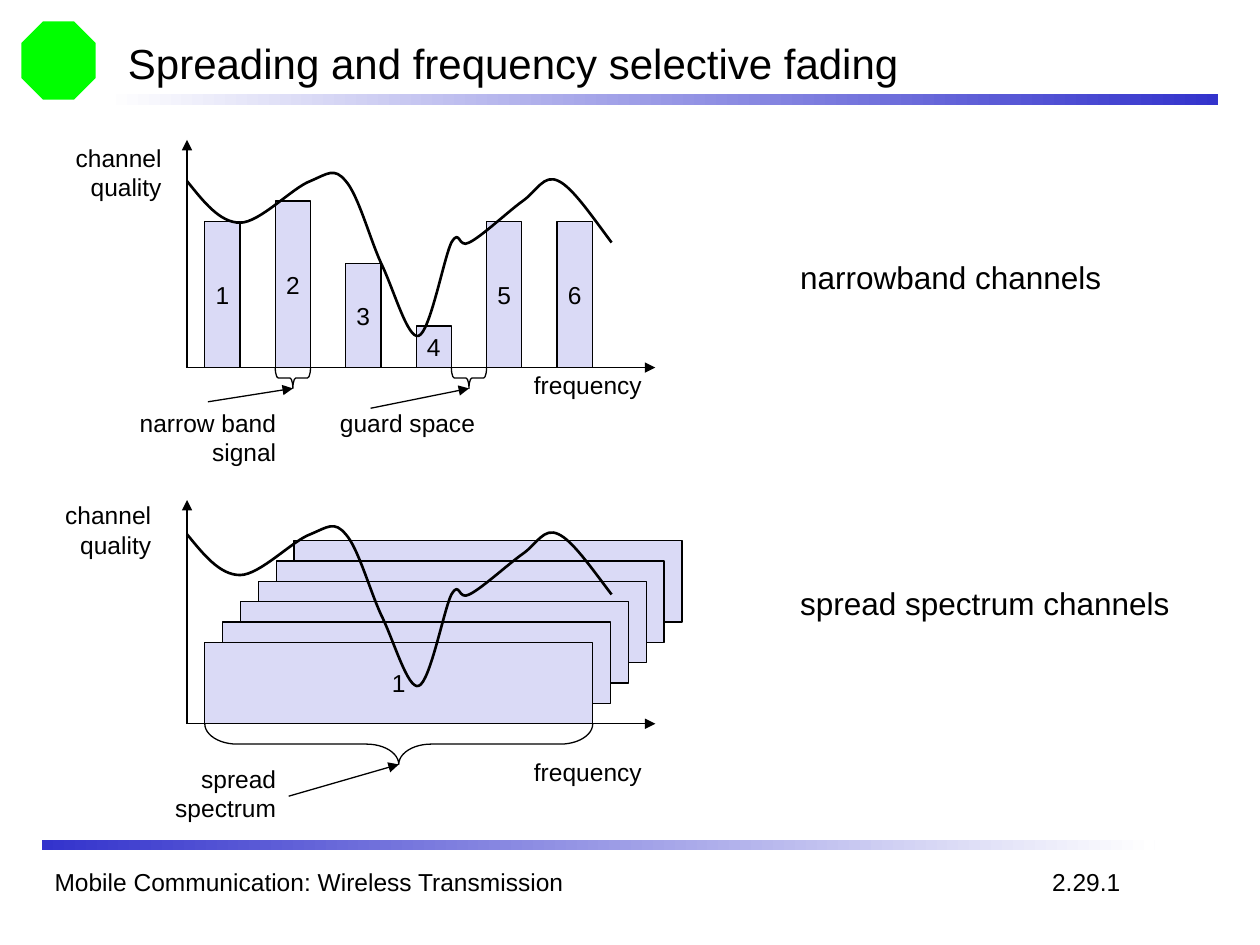
from lxml import etree
from pptx import Presentation
from pptx.dml.color import RGBColor
from pptx.enum.shapes import MSO_CONNECTOR, MSO_SHAPE
from pptx.enum.text import MSO_ANCHOR, PP_ALIGN
from pptx.oxml.ns import qn
from pptx.util import Cm, Pt

RECTANGLE, OCTAGON, BRACE = MSO_SHAPE.RECTANGLE, MSO_SHAPE.OCTAGON, MSO_SHAPE.LEFT_BRACE
STRAIGHT = MSO_CONNECTOR.STRAIGHT
LEFT, CENTER, RIGHT = PP_ALIGN.LEFT, PP_ALIGN.CENTER, PP_ALIGN.RIGHT
TOP, MIDDLE = MSO_ANCHOR.TOP, MSO_ANCHOR.MIDDLE

FONT = "Arial"
BLACK, WHITE, BLUE, LAVENDER, GREEN = "000000", "FFFFFF", "3333CC", "DADAF6", "00FF00"
AXIS_X, AXIS_END = 3.77, 13.21
BAND_LEFT, BAND_WIDTH = 4.13, 0.71
QUALITY_UNIT = 0.42
BAND_QUALITIES = [7, 8, 5, 2, 7, 7]
SPREAD_WIDTH, SPREAD_HEIGHT = 7.82, 1.64
SPREAD_SHIFT, SPREAD_RISE = 0.36, 0.41
QUALITY_CURVE = [
    (0.33, 0.41), (0.66, 0.84), (1.07, 0.84),
    (1.47, 0.84), (2.13, 0.13), (2.49, 0),
    (2.84, -0.15), (2.97, -0.28), (3.2, 0),
    (3.45, 0.28), (3.68, 1.14), (3.91, 1.65),
    (4.17, 2.18), (4.45, 3.2), (4.67, 3.12),
    (4.9, 3.05), (5.18, 1.55), (5.33, 1.24),
    (5.51, 0.94), (5.46, 1.37), (5.69, 1.24),
    (5.94, 1.12), (6.48, 0.61), (6.76, 0.41),
    (7.06, 0.2), (7.19, -0.15), (7.49, 0),
    (7.77, 0.13), (8.15, 0.69), (8.56, 1.24),
]


def color(hex_string):
    """Turn a hex string into a colour."""
    return RGBColor.from_string(hex_string)


def write(frame, text, size, align, anchor):
    """Write text into a frame, one run for each line."""
    frame.word_wrap = False
    frame.vertical_anchor = anchor
    paragraph = frame.paragraphs[0]
    paragraph.alignment = align
    for number, line in enumerate(text.split("\n")):
        if number:
            paragraph.add_line_break()
        run = paragraph.add_run()
        run.text = line
        run.font.name = FONT
        run.font.size = Pt(size)
        run.font.color.rgb = color(BLACK)


def add_label(slide, text, left, top, width, height, size=14, align=LEFT, anchor=TOP):
    """Add a free-standing label."""
    label = slide.shapes.add_textbox(Cm(left), Cm(top), Cm(width), Cm(height))
    write(label.text_frame, text, size, align, anchor)


def add_plain(slide, preset, left, top, width, height):
    """Add a preset shape without shadow or line."""
    plain = slide.shapes.add_shape(preset, Cm(left), Cm(top), Cm(width), Cm(height))
    plain.shadow.inherit = False
    plain.line.fill.background()
    return plain


def outline(line, width=0.75):
    """Make a line black and of the given width."""
    line.color.rgb = color(BLACK)
    line.width = Pt(width)


def add_emblem(slide):
    """Add the corner emblem."""
    emblem = add_plain(slide, OCTAGON, 0.43, 0.43, 1.5, 1.58)
    emblem.fill.solid()
    emblem.fill.fore_color.rgb = color(GREEN)


def add_rule(slide, left, top, start, end):
    """Add a horizontal rule that fades between two colours."""
    rule = add_plain(slide, RECTANGLE, left, top, 22.43, 0.21)
    rule.fill.gradient()
    rule.fill.gradient_angle = 0
    for stop, position, shade in zip(rule.fill.gradient_stops, (0, 1), (start, end)):
        stop.position = position
        stop.color.rgb = color(shade)


def add_band(slide, left, top, width, height, number=""):
    """Add a frequency band, numbered if its face is visible."""
    band = add_plain(slide, RECTANGLE, left, top, width, height)
    band.fill.solid()
    band.fill.fore_color.rgb = color(LAVENDER)
    outline(band.line)
    if number:
        write(band.text_frame, number, 14, CENTER, MIDDLE)


def add_arrow(slide, start, end):
    """Add a straight arrow from start to end."""
    arrow = slide.shapes.add_connector(STRAIGHT, *(Cm(value) for value in (*start, *end)))
    outline(arrow.line)
    properties = arrow._element.spPr
    etree.SubElement(properties.find(qn("a:ln")), qn("a:tailEnd"), type="triangle")
    etree.SubElement(properties, qn("a:effectLst"))


def add_axes(slide, base, top):
    """Add the frequency and quality axes."""
    origin = (AXIS_X, base)
    add_arrow(slide, origin, (AXIS_END, base))
    add_arrow(slide, origin, (AXIS_X, top))


def add_brace(slide, left, top, length, depth):
    """Add a brace under a stretch of the frequency axis."""
    brace = add_plain(slide, BRACE, left + (length - depth) / 2,
                      top + (depth - length) / 2, depth, length)
    brace.rotation = 270
    brace.adjustments[0] = length / 12 / depth
    brace.fill.background()
    outline(brace.line)


def add_quality_curve(slide, top, stretch=1):
    """Add the smooth channel quality curve."""
    builder = slide.shapes.build_freeform(Cm(AXIS_X), Cm(top))
    points = [(Cm(AXIS_X + x), Cm(top + y * stretch)) for x, y in QUALITY_CURVE]
    builder.add_line_segments(points, close=False)
    curve = builder.convert_to_shape()
    curve.shadow.inherit = False
    curve.fill.background()
    outline(curve.line, 1.5)
    outline_path = curve._element.find(".//" + qn("a:path"))
    segments = outline_path.findall(qn("a:lnTo"))
    for first in range(0, len(segments), 3):
        bezier = etree.SubElement(outline_path, qn("a:cubicBezTo"))
        for segment in segments[first:first + 3]:
            bezier.append(segment[0])
            outline_path.remove(segment)


def add_narrowband(slide):
    """Draw the narrowband channels."""
    base = 7.41
    add_axes(slide, base, 2.82)
    for index, quality in enumerate(BAND_QUALITIES):
        height = quality * QUALITY_UNIT
        add_band(slide, BAND_LEFT + 2 * index * BAND_WIDTH, base - height,
                 BAND_WIDTH, height, str(index + 1))
    add_quality_curve(slide, 3.65)
    for slot, arrow_start in ((2, (4.19, 8.1)), (7, (7.47, 8.23))):
        left = BAND_LEFT + slot * BAND_WIDTH
        add_brace(slide, left, base, BAND_WIDTH, 0.42)
        add_arrow(slide, arrow_start, (left + BAND_WIDTH / 2, base + 0.42))
    add_label(slide, "channel\nquality", 1.07, 2.75, 2.44, 1.45, align=RIGHT)
    add_label(slide, "frequency", 10.32, 7.34, 2.87, 0.86, align=RIGHT)
    add_label(slide, "narrow band\nsignal", 2.37, 8.1, 3.45, 1.45, align=RIGHT)
    add_label(slide, "guard space", 6.4, 8.1, 3.43, 0.86, align=RIGHT)
    add_label(slide, "narrowband channels", 15.88, 5.08, 6.78, 1.02, size=18)


def add_spread_spectrum(slide):
    """Draw the spread spectrum channels."""
    base = 14.59
    for depth in range(5, -1, -1):
        add_band(slide, BAND_LEFT + depth * SPREAD_SHIFT,
                 base - SPREAD_HEIGHT - depth * SPREAD_RISE,
                 SPREAD_WIDTH, SPREAD_HEIGHT, "" if depth else "1")
    add_axes(slide, base, 10.08)
    add_brace(slide, BAND_LEFT, base, SPREAD_WIDTH, 0.82)
    add_arrow(slide, (5.82, 16.05), (BAND_LEFT + SPREAD_WIDTH / 2, base + 0.82))
    add_quality_curve(slide, 10.77, 0.98)
    add_label(slide, "channel\nquality", 0.86, 9.96, 2.44, 1.45, align=RIGHT)
    add_label(slide, "frequency", 10.32, 15.13, 2.87, 0.86, align=RIGHT)
    add_label(slide, "spread\nspectrum", 3.08, 15.27, 2.74, 1.45, align=RIGHT)
    add_label(slide, "spread spectrum channels", 15.88, 11.64, 8.15, 1.02, size=18)


def main():
    """Build and save the slide."""
    deck = Presentation()
    deck.slide_width, deck.slide_height = Cm(25.4), Cm(19.05)
    slide = deck.slides.add_slide(deck.slide_layouts[6])
    add_emblem(slide)
    add_rule(slide, 2.12, 1.9, WHITE, BLUE)
    add_rule(slide, 0.85, 16.93, BLUE, WHITE)
    add_label(slide, "Spreading and frequency selective fading",
              2.33, 0.62, 21.59, 1.27, size=24, anchor=MIDDLE)
    add_narrowband(slide)
    add_spread_spectrum(slide)
    add_label(slide, "Mobile Communication: Wireless Transmission", 0.85, 17.36, 12.5, 0.85)
    add_label(slide, "2.29.1", 20.96, 17.36, 2.08, 0.86)
    deck.save("out.pptx")


if __name__ == "__main__":
    main()
